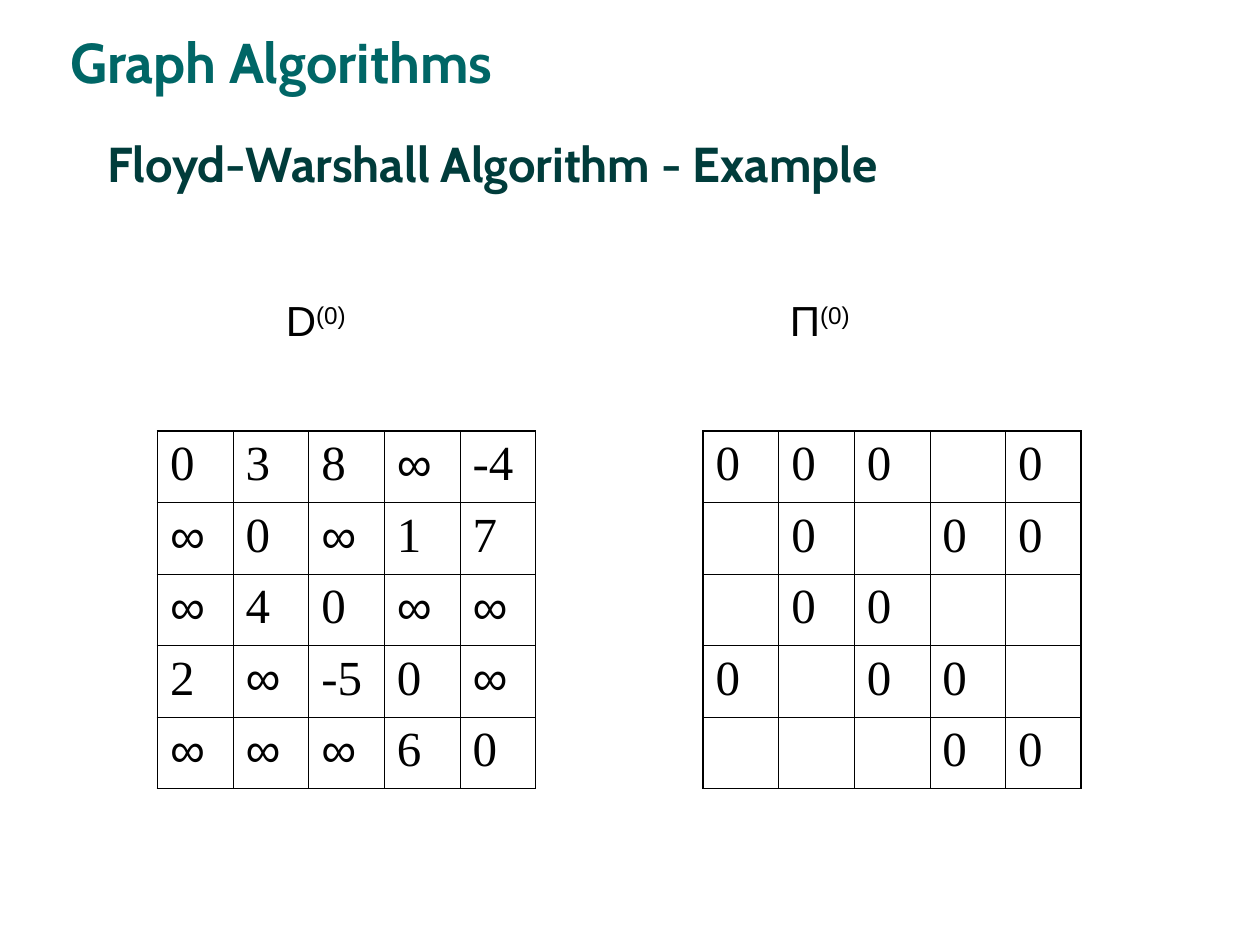
from lxml.etree import SubElement
from pptx import Presentation
from pptx.dml.color import RGBColor
from pptx.enum.text import MSO_ANCHOR, MSO_AUTO_SIZE, PP_ALIGN
from pptx.oxml.ns import qn
from pptx.util import Inches, Pt

TEAL = RGBColor(0x00, 0x66, 0x66)
DARK_TEAL = RGBColor(0x00, 0x3C, 0x3B)
BLACK = RGBColor(0, 0, 0)

COURSE = "Graph Algorithms"
TITLE = "Floyd-Warshall Algorithm - Example"
MATRIX_NAMES = ["D", "Π"]
SUPERSCRIPT = "(0)"
NAME_TABS = [1, 5]

DISTANCES = [
    ["0", "3", "8", "∞", "-4"],
    ["∞", "0", "∞", "1", "7"],
    ["∞", "4", "0", "∞", "∞"],
    ["2", "∞", "-5", "0", "∞"],
    ["∞", "∞", "∞", "6", "0"],
]
PREDECESSORS = [
    ["0", "0", "0", "", "0"],
    ["", "0", "", "0", "0"],
    ["", "0", "0", "", ""],
    ["0", "", "0", "0", ""],
    ["", "", "", "0", "0"],
]
MATRICES = [(1.25, DISTANCES), (5.58, PREDECESSORS)]
MATRIX_TOP, MATRIX_WIDTH, MATRIX_HEIGHT = 3.42, 3, 2.83
OUTER_LINE, INNER_LINE = Pt(1.08), Pt(0.45)

COURSE_FONT = {"name": "Cabin", "size": Pt(32), "bold": True}
TITLE_FONT = {"name": "Cabin", "size": Pt(28), "bold": True}
NAME_FONT = {"name": "Arial", "size": Pt(24)}
NUMBER_FONT = {"name": "Times New Roman", "size": Pt(28)}
INFINITY_FONT = {"name": "Arial", "size": Pt(28)}


def add_span(para, text, font, color):
    span = para.add_run()
    span.text = text
    for name, value in font.items():
        setattr(span.font, name, value)
    span.font.color.rgb = color
    return span


def add_label_box(slide, left, top, width, height):
    box = slide.shapes.add_textbox(*map(Inches, (left, top, width, height)))
    box.text_frame.word_wrap = False
    box.text_frame.auto_size = MSO_AUTO_SIZE.SHAPE_TO_FIT_TEXT
    return box.text_frame.paragraphs[0]


def add_matrix_names(slide):
    para = add_label_box(slide, 1.17, 2.29, 5.7, 0.5)
    tab_list = SubElement(para._p.get_or_add_pPr(), qn("a:tabLst"))
    for position in NAME_TABS:
        SubElement(tab_list, qn("a:tab"), pos=str(Inches(position)), algn="l")
    for name in MATRIX_NAMES:
        add_span(para, "\t" + name, NAME_FONT, BLACK)
        index = add_span(para, SUPERSCRIPT, NAME_FONT, BLACK)
        index._r.get_or_add_rPr().set("baseline", "30000")


def set_borders(cell, row, column, last):
    """Draw the table's outline heavier than its inner grid."""
    properties = cell._tc.get_or_add_tcPr()
    on_outline = {"lnL": column == 0, "lnR": column == last,
                  "lnT": row == 0, "lnB": row == last}
    for side, outer in on_outline.items():
        width = OUTER_LINE if outer else INNER_LINE
        line = SubElement(properties, qn(f"a:{side}"), w=str(width))
        fill = SubElement(line, qn("a:solidFill"))
        SubElement(fill, qn("a:srgbClr"), val=str(BLACK))


def add_matrix(slide, left, values):
    count = len(values)
    place = map(Inches, (left, MATRIX_TOP, MATRIX_WIDTH, MATRIX_HEIGHT))
    table = slide.shapes.add_table(count, count, *place).table
    table.first_row = table.horz_banding = False
    for row, row_values in enumerate(values):
        for column, value in enumerate(row_values):
            cell = table.cell(row, column)
            set_borders(cell, row, column, count - 1)
            cell.fill.background()
            if value:
                font = INFINITY_FONT if value == "∞" else NUMBER_FONT
                add_span(cell.text_frame.paragraphs[0], value, font, BLACK)


def main():
    deck = Presentation()
    deck.slide_width, deck.slide_height = Inches(10), Inches(7.5)
    slide = deck.slides.add_slide(deck.slide_layouts[5])

    add_span(add_label_box(slide, 0.46, 0.17, 4.16, 0.64), COURSE, COURSE_FONT, TEAL)

    title = slide.shapes.title
    title.left, title.top = Inches(0.75), Inches(0.67)
    title.width, title.height = Inches(9.25), Inches(1.25)
    title.text_frame.vertical_anchor = MSO_ANCHOR.MIDDLE
    title_para = title.text_frame.paragraphs[0]
    title_para.alignment = PP_ALIGN.LEFT
    add_span(title_para, TITLE, TITLE_FONT, DARK_TEAL)

    for left, values in MATRICES:
        add_matrix(slide, left, values)
    add_matrix_names(slide)
    deck.save("out.pptx")


if __name__ == "__main__":
    main()
